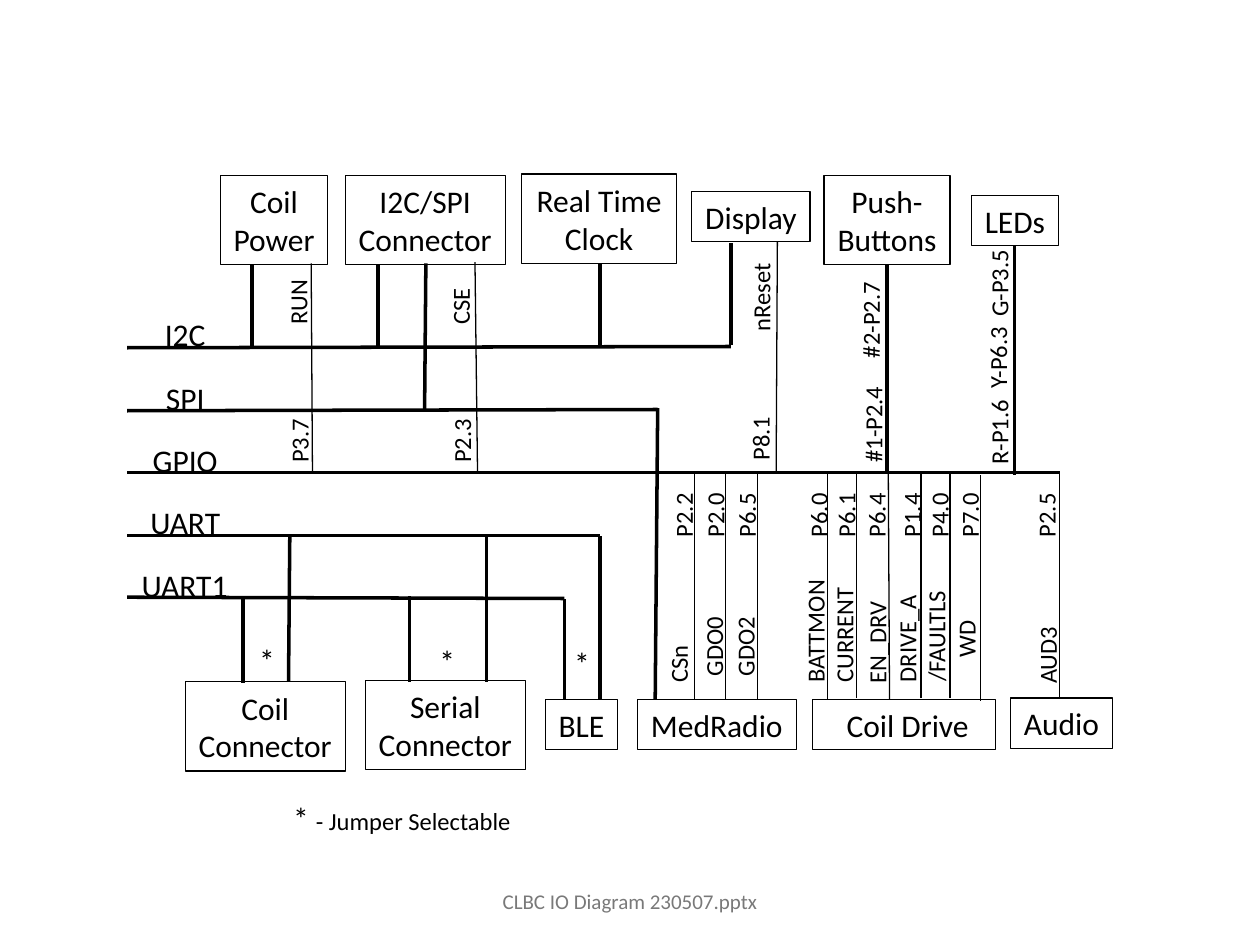
from lxml import etree
from pptx import Presentation
from pptx.dml.color import RGBColor
from pptx.enum import shapes, text
from pptx.oxml.ns import qn
from pptx.util import Inches, Pt

BLACK = RGBColor(0x00, 0x00, 0x00)
GRAY = RGBColor(0x79, 0x79, 0x79)
GROW = text.MSO_AUTO_SIZE.SHAPE_TO_FIT_TEXT
THICK, THIN = 2, 0.75

prs = Presentation()
prs.slide_width, prs.slide_height = Inches(10), Inches(7.5)
s = prs.slides.add_slide(prs.slide_layouts[6])


def write(sp, lines, size, color=BLACK, **frame):
    tf = sp.text_frame
    for key, value in {"word_wrap": True, "auto_size": GROW, **frame}.items():
        setattr(tf, key, value)
    for i, line in enumerate(lines):
        p = tf.paragraphs[0] if i == 0 else tf.add_paragraph()
        p.alignment = text.PP_ALIGN.CENTER
        r = p.add_run()
        r.text = line
        for key, value in {"name": "Calibri", "size": Pt(size)}.items():
            setattr(r.font, key, value)
        r.font.color.rgb = color


def label(x, y, w, h, words, size, rotation=0, **fmt):
    sp = s.shapes.add_textbox(Inches(x), Inches(y), Inches(w), Inches(h))
    sp.rotation = rotation
    write(sp, [words], size, **fmt)
    return sp


wires = [
    (1.01, 2.76, 5.8, 2.75, THICK),
    (1.01, 3.26, 5.22, 3.25, THICK),
    (1.01, 3.75, 8.41, 3.75, THICK),
    (1.01, 4.25, 4.76, 4.25, THICK),
    (1.01, 4.74, 4.48, 4.75, THICK),
    (2, 2.76, 2, 2.1, THICK),
    (3, 2.77, 3, 2.1, THICK),
    (3.37, 3.26, 3.38, 2.09, THICK),
    (4.76, 2.76, 4.76, 2.09, THICK),
    (5.8, 2.74, 5.8, 1.93, THICK),
    (7.04, 3.76, 7.04, 2.1, THICK),
    (8.05, 3.77, 8.05, 1.95, THICK),
    (1.93, 5.42, 1.93, 4.75, THICK),
    (2.29, 5.41, 2.3, 4.25, THICK),
    (3.25, 5.41, 3.25, 4.73, THICK),
    (3.86, 5.41, 3.86, 4.25, THICK),
    (4.48, 5.55, 4.48, 4.75, THICK),
    (4.76, 5.55, 4.76, 4.25, THICK),
    (5.2, 5.55, 5.22, 3.24, THICK),
    (2.48, 3.76, 2.47, 2.09, THIN),
    (3.79, 3.74, 3.77, 2.08, THIN),
    (6.16, 3.75, 6.17, 1.92, THIN),
    (7.06, 5.55, 7.05, 3.75, THIN),
    (7.78, 5.56, 7.78, 3.77, THIN),
]
wires += [(x, 5.55, x, 3.76, THIN) for x in (5.51, 5.76, 6.01, 6.57)]
wires += [(x, 5.54, x, 3.75, THIN) for x in (6.8, 7.31, 7.54, 8.41)]
for x1, y1, x2, y2, width in wires:
    sp = s.shapes.add_connector(
        shapes.MSO_CONNECTOR.STRAIGHT, Inches(x1), Inches(y1), Inches(x2), Inches(y2)
    )
    sp.line.width = Pt(width)
    sp.line.color.rgb = BLACK
    etree.SubElement(sp._element.spPr, qn("a:effectLst"))

boxes = [
    (1.75, 1.39, 0.85, 0.71, ["Coil", "Power"], False),
    (2.74, 1.39, 1.27, 0.71, ["I2C/SPI", "Connector"], False),
    (4.14, 1.38, 1.23, 0.71, ["Real Time", "Clock"], True),
    (5.49, 1.52, 0.94, 0.4, ["Display"], False),
    (6.54, 1.39, 1, 0.71, ["Push-", "Buttons"], False),
    (7.71, 1.55, 0.69, 0.4, ["LEDs"], False),
    (1.47, 5.41, 1.27, 0.71, ["Coil", "Connector"], False),
    (2.9, 5.4, 1.27, 0.71, ["Serial", "Connector"], False),
    (4.33, 5.55, 0.57, 0.4, ["BLE"], False),
    (5.06, 5.55, 1.26, 0.4, ["MedRadio"], False),
    (6.45, 5.55, 1.45, 0.4, [" Coil Drive"], True),
    (8.02, 5.54, 0.81, 0.4, ["Audio"], False),
]
for x, y, w, h, lines, wrap in boxes:
    sp = s.shapes.add_shape(
        shapes.MSO_SHAPE.RECTANGLE, Inches(x), Inches(y), Inches(w), Inches(h)
    )
    sp.shadow.inherit = False
    sp.fill.background()
    sp.line.color.rgb = BLACK
    sp.line.width = Pt(THIN)
    write(sp, lines, 18, word_wrap=wrap, vertical_anchor=text.MSO_ANCHOR.MIDDLE)

buses = [("I2C", 2.45), ("SPI", 2.96), ("GPIO", 3.45), ("UART", 3.94)]
for name, y in buses:
    label(1.09, y, 0.76, 0.4, name, 18)
label(0.99, 4.44, 0.95, 0.4, "UART1", 18)
for x, y in [(1.74, 5.04), (3.17, 5.05), (4.24, 5.06)]:
    label(x, y, 0.76, 0.4, "*", 18)

signals = [
    ("RUN", 2.02, 2.23, 0.69),
    ("CSE", 3.31, 2.26, 0.69),
    ("nReset", 5.61, 2.19, 0.86),
    ("P3.7", 2.03, 3.33, 0.69),
    ("P2.3", 3.32, 3.33, 0.69),
    ("P8.1", 5.69, 3.31, 0.69),
    ("#1-P2.4", 6.47, 3.2, 0.92),
    ("#2-P2.7", 6.45, 2.37, 0.92),
    ("R-P1.6", 7.47, 3.26, 0.92),
    ("Y-P6.3", 7.46, 2.67, 0.92),
    ("G-P3.5", 7.47, 2.08, 0.92),
    ("CSn", 5.04, 5.1, 0.69),
    ("GDO0", 5.27, 4.96, 0.79),
    ("GDO2", 5.52, 4.96, 0.79),
    ("BATTMON", 5.81, 4.84, 1.32),
    ("CURRENT", 6.04, 4.87, 1.32),
    ("EN_DRV", 6.3, 4.93, 1.32),
    ("DRIVE_A", 6.54, 4.9, 1.32),
    ("/FAULTLS", 6.77, 4.88, 1.32),
    ("WD", 7.01, 4.9, 1.32),
    ("AUD3", 7.93, 5.03, 0.77),
]
pins = [
    ("P2.2", 5.08), ("P2.0", 5.33), ("P6.5", 5.58), ("P6.0", 6.15), ("P6.1", 6.37),
    ("P6.4", 6.61), ("P1.4", 6.89), ("P4.0", 7.11), ("P7.0", 7.35), ("P2.5", 7.96),
]
signals += [(pin, x, 3.92, 0.69) for pin, x in pins]
for name, x, y, w in signals:
    label(x, y, w, 0.34, name, 14, 270)

sp = label(1.82, 6.29, 2.74, 0.4, "* ", 18)
r = sp.text_frame.paragraphs[0].add_run()
r.text = "- Jumper Selectable"
for key, value in {"name": "Calibri", "size": Pt(14)}.items():
    setattr(r.font, key, value)
r.font.color.rgb = BLACK

label(3.31, 6.95, 3.38, 0.4, "CLBC IO Diagram 230507.pptx", 12, color=GRAY,
      auto_size=text.MSO_AUTO_SIZE.NONE, vertical_anchor=text.MSO_ANCHOR.MIDDLE)

prs.save("out.pptx")
